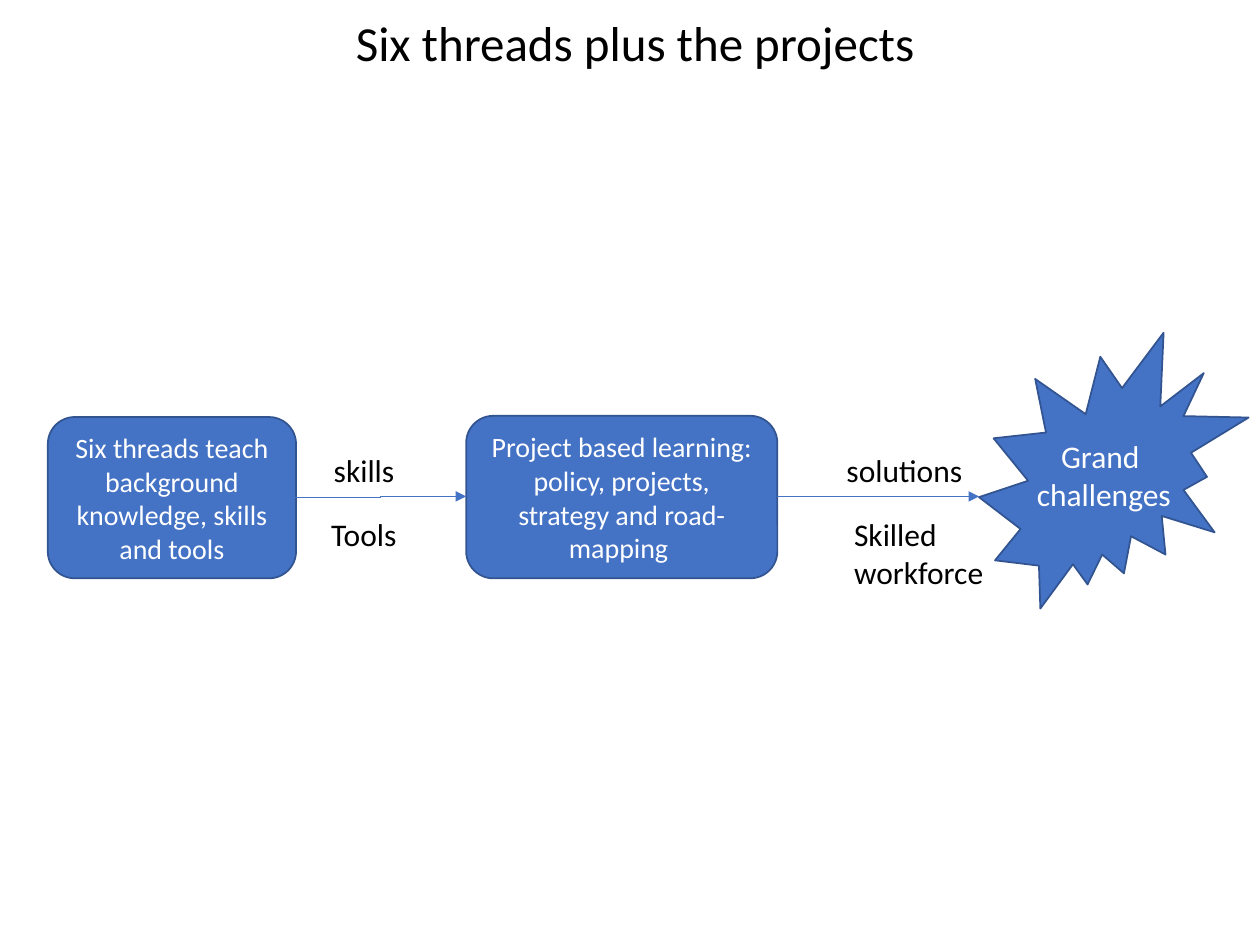
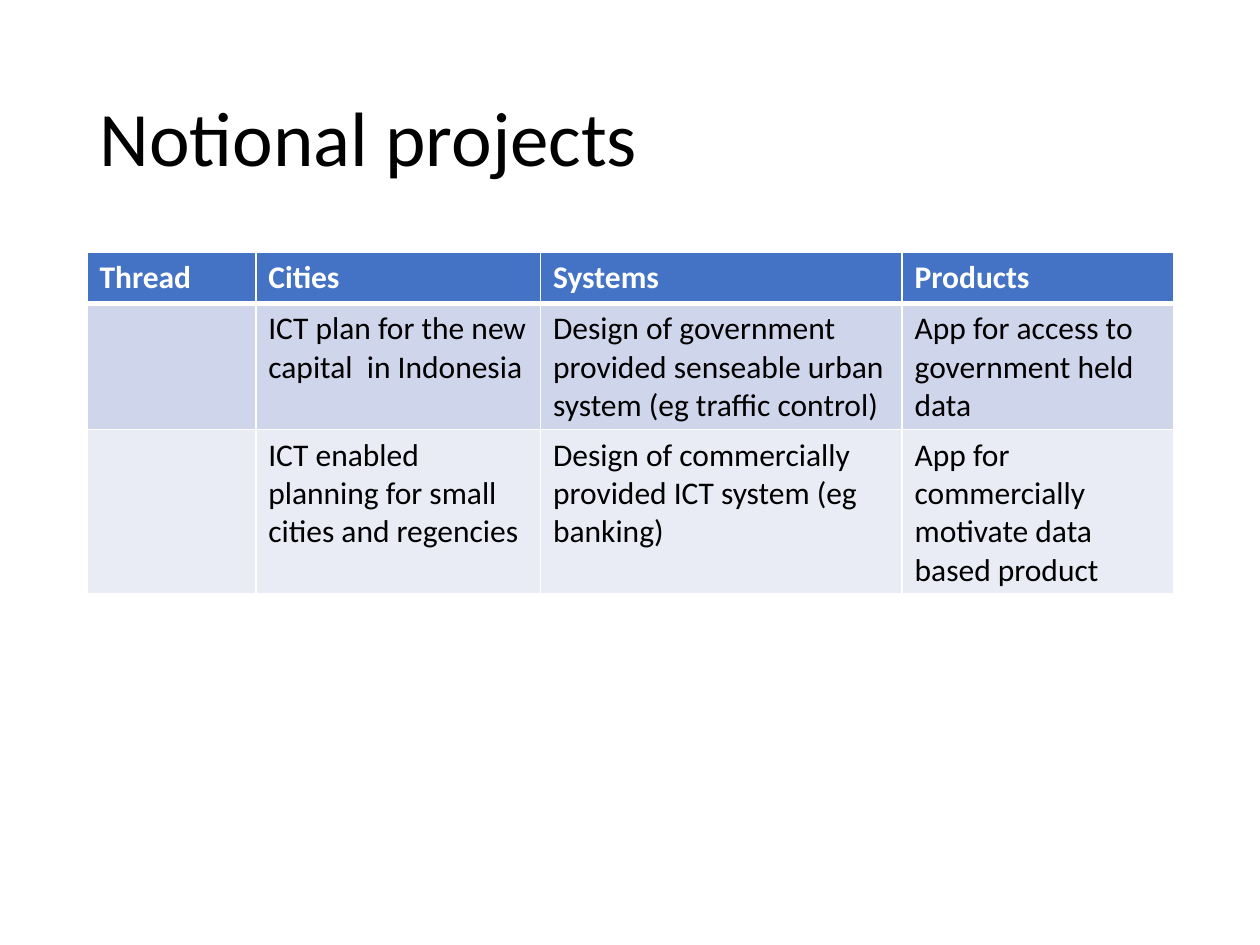
import dataclasses
import typing

import lxml.etree
import pptx
import pptx.dml.color
import pptx.enum.shapes
import pptx.enum.text
import pptx.oxml.ns
import pptx.util

PX = 9144  # 100 px to the inch
FONT = "Calibri"
HUES = {"blue": "4472C4", "edge": "325491", "ink": "000000", "white": "FFFFFF",
        "band": "CFD5EA", "pale": "E9EBF5"}
FORMS = pptx.enum.shapes.MSO_SHAPE
MID = pptx.enum.text.MSO_ANCHOR.MIDDLE
TOP = pptx.enum.text.MSO_ANCHOR.TOP
LEFT = pptx.enum.text.PP_ALIGN.LEFT
MIDST = pptx.enum.text.PP_ALIGN.CENTER


class Box(typing.NamedTuple):
    x: int
    y: int
    w: int
    h: int

    def emu(self) -> list[int]:
        return [side * PX for side in self]


@dataclasses.dataclass
class Node:
    form: int
    box: Box
    text: str
    size: int = 16
    wrap: bool = True


@dataclasses.dataclass
class Label:
    box: Box
    text: str


@dataclasses.dataclass
class Arrow:
    start: tuple[int, int]
    end: tuple[int, int]


NODES = [
    Node(FORMS.ROUNDED_RECTANGLE, Box(370, 330, 247, 129),
         "Project based learning: policy, projects, strategy and road-mapping "),
    Node(FORMS.ROUNDED_RECTANGLE, Box(38, 331, 197, 128),
         "Six threads teach background knowledge, skills and tools"),
    Node(FORMS.EXPLOSION2, Box(777, 264, 214, 219), "Grand \nchallenges", 18, False),
]
ARROWS = [Arrow((617, 394), (777, 394)), Arrow((234, 395), (370, 394))]
LABELS = [
    Label(Box(662, 353, 113, 40), "solutions"),
    Label(Box(668, 404, 124, 71), "Skilled\nworkforce"),
    Label(Box(255, 353, 69, 40), "skills"),
    Label(Box(253, 404, 72, 40), "Tools"),
]
COLS = [134, 226, 287, 216]
ROWS = [41, 100, 130]
FILLS = ["blue", "band", "pale"]
CELLS = [
    ["Thread", "Cities", "Systems", "Products"],
    ["", "ICT plan for the new capital  in Indonesia",
     "Design of government provided senseable urban system (eg traffic control)",
     "App for access to government held data"],
    ["", "ICT enabled  planning for small cities and regencies",
     "Design of commercially provided ICT system (eg banking)",
     "App for commercially motivate data based product"],
]


def hue(name: str) -> pptx.dml.color.RGBColor:
    return pptx.dml.color.RGBColor.from_string(HUES[name])


def style(item: typing.Any, vals: dict[str, typing.Any]) -> None:
    for key, val in vals.items():
        setattr(item, key, val)


def paint(part: typing.Any, name: str) -> None:
    part.fill.solid()
    part.fill.fore_color.rgb = hue(name)


def write(frame: typing.Any, text: str, size: int, tint: str, bold: bool = False,
          **paras: typing.Any) -> None:
    frame.text = text
    for para in frame.paragraphs:
        style(para, paras)
        style(para.font, {"name": FONT, "size": pptx.util.Pt(size), "bold": bold})
        para.font.color.rgb = hue(tint)


def title(slide: typing.Any, box: Box, text: str, size: int, align: int) -> None:
    frame = slide.shapes.add_textbox(*box.emu()).text_frame
    style(frame, {"word_wrap": True, "vertical_anchor": MID})
    write(frame, text, size, "ink", alignment=align, line_spacing=0.9)


def node(slide: typing.Any, spec: Node) -> None:
    shape = slide.shapes.add_shape(spec.form, *spec.box.emu())
    shape.shadow.inherit = False
    paint(shape, "blue")
    shape.line.color.rgb = hue("edge")
    shape.line.width = pptx.util.Pt(1)
    style(shape.text_frame, {"word_wrap": spec.wrap, "vertical_anchor": MID})
    write(shape.text_frame, spec.text, spec.size, "white", alignment=MIDST)


def label(slide: typing.Any, spec: Label) -> None:
    frame = slide.shapes.add_textbox(*spec.box.emu()).text_frame
    style(frame, {"word_wrap": False, "vertical_anchor": TOP,
                  "auto_size": pptx.enum.text.MSO_AUTO_SIZE.SHAPE_TO_FIT_TEXT})
    write(frame, spec.text, 18, "ink", alignment=LEFT)


def arrow(slide: typing.Any, spec: Arrow) -> None:
    ends = [val * PX for val in spec.start + spec.end]
    link = slide.shapes.add_connector(pptx.enum.shapes.MSO_CONNECTOR.ELBOW, *ends)
    link.line.color.rgb = hue("blue")
    link.line.width = pptx.util.Pt(0.5)
    qn = pptx.oxml.ns.qn
    props = link._element.spPr
    lxml.etree.SubElement(props.find(qn("a:ln")), qn("a:tailEnd"), type="triangle")
    lxml.etree.SubElement(props, qn("a:effectLst"))


def border(cell: typing.Any, row: int) -> None:
    qn = pptx.oxml.ns.qn
    props = cell._tc.get_or_add_tcPr()
    # A thick rule parts the header from the body
    thick = {0: "B", 1: "T"}.get(row)
    for side in "LRTB":
        width = pptx.util.Pt(3 if side == thick else 1)
        line = lxml.etree.SubElement(props, qn(f"a:ln{side}"), w=str(width))
        fill = lxml.etree.SubElement(line, qn("a:solidFill"))
        lxml.etree.SubElement(fill, qn("a:srgbClr"), val=HUES["white"])


def grid(slide: typing.Any, x: int, y: int) -> None:
    box = Box(x, y, sum(COLS), sum(ROWS))
    table = slide.shapes.add_table(len(ROWS), len(COLS), *box.emu()).table
    for col, width in zip(table.columns, COLS):
        col.width = width * PX
    for row, height in enumerate(ROWS):
        table.rows[row].height = height * PX
        head = row == 0
        for col, text in enumerate(CELLS[row]):
            cell = table.cell(row, col)
            border(cell, row)
            paint(cell, FILLS[row])
            write(cell.text_frame, text, 18, "white" if head else "ink", head)


def main() -> None:
    deck = pptx.Presentation()
    style(deck, {"slide_width": 1000 * PX, "slide_height": 750 * PX})
    blank = deck.slide_layouts[6]

    # Flow from threads to challenges
    flow = deck.slides.add_slide(blank)
    title(flow, Box(73, 9, 862, 55), "Six threads plus the projects", 28, MIDST)
    for draw, specs in ((node, NODES), (arrow, ARROWS), (label, LABELS)):
        for spec in specs:
            draw(flow, spec)

    # Table of projects
    plan = deck.slides.add_slide(blank)
    title(plan, Box(69, 40, 862, 145), "Notional projects", 44, LEFT)
    grid(plan, 69, 200)

    deck.save("out.pptx")


if __name__ == "__main__":
    main()
